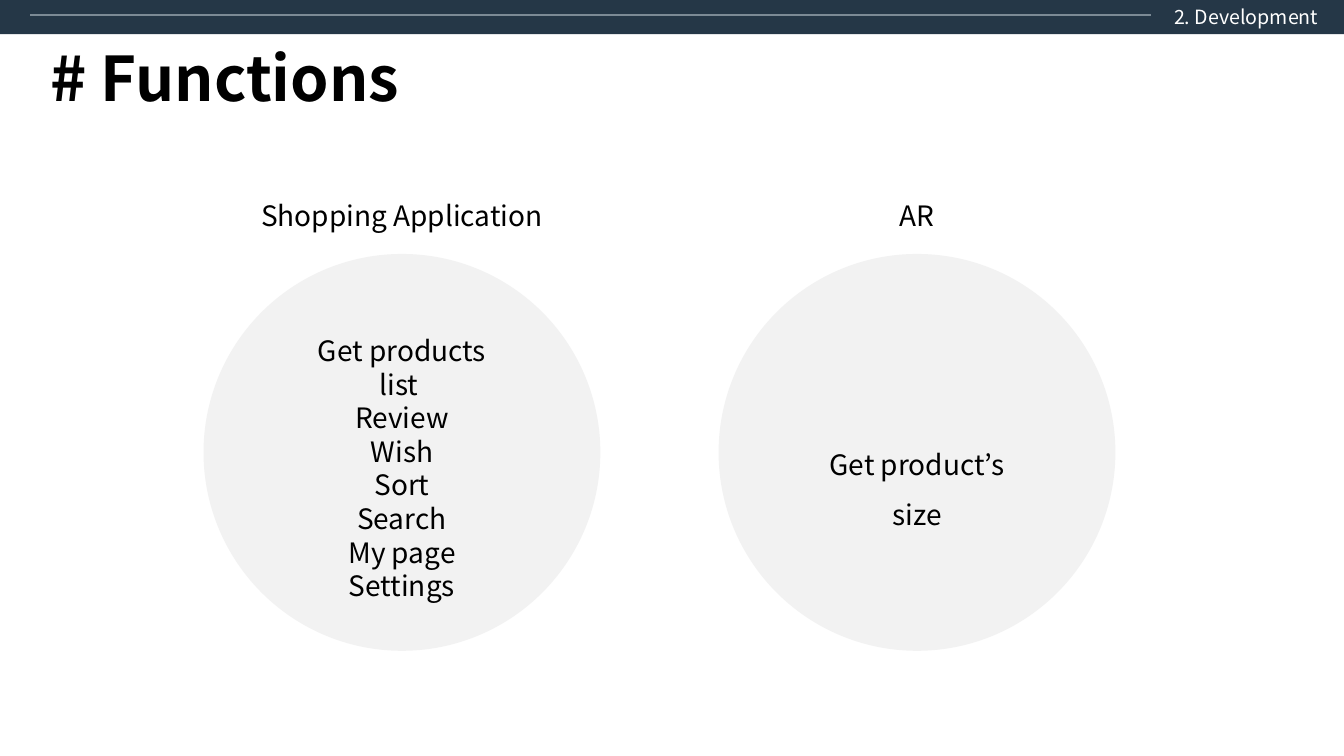
from dataclasses import dataclass

from pptx import Presentation
from pptx.dml.color import RGBColor as RGB
from pptx.enum.shapes import MSO_CONNECTOR as CONN, MSO_SHAPE as SHAPE
from pptx.enum.text import MSO_ANCHOR as ANCHOR, MSO_AUTO_SIZE as AUTO, PP_ALIGN as ALIGN
from pptx.oxml.ns import qn
from pptx.util import Cm, Pt
from lxml import etree


@dataclass(frozen=True)
class Theme:
    font: str = "Noto Sans CJK KR"
    navy: RGB = RGB(0x25, 0x37, 0x47)
    rule: RGB = RGB(0x7C, 0x8A, 0x95)
    disc: RGB = RGB(0xF2, 0xF2, 0xF2)
    black: RGB = RGB(0, 0, 0)
    white: RGB = RGB(0xFF, 0xFF, 0xFF)
    title: int = 44
    body: int = 20
    tag: int = 14


T = Theme()
WIDTH, HEIGHT = 33.87, 19.05


def write(tf, lines, size=T.body, color=T.black, bold=False,
          align=ALIGN.CENTER, spacing=None, anchor=ANCHOR.TOP):
    """Fill a text frame with one paragraph per line."""
    tf.word_wrap = True
    tf.auto_size = AUTO.NONE
    tf.vertical_anchor = anchor
    for i, line in enumerate(lines):
        p = tf.add_paragraph() if i else tf.paragraphs[0]
        p.alignment = align
        if spacing:
            p.line_spacing = spacing
        r = p.add_run()
        r.text = line
        r.font.name, r.font.size, r.font.bold = T.font, Pt(size), bold
        r.font.color.rgb = color


def text_box(s, x, y, w, h, lines, **fmt):
    tb = s.shapes.add_textbox(Cm(x), Cm(y), Cm(w), Cm(h))
    write(tb.text_frame, lines, **fmt)


def plain_shape(s, kind, x, y, w, h, color):
    sp = s.shapes.add_shape(kind, Cm(x), Cm(y), Cm(w), Cm(h))
    sp.shadow.inherit = False
    sp.fill.solid()
    sp.fill.fore_color.rgb = color
    sp.line.fill.background()


def header(s, x, y, w, h, section):
    """Dark band with a thin rule and the section name at its right end."""
    plain_shape(s, SHAPE.RECTANGLE, x, y, w, h, T.navy)
    rule_y = Cm(y + 0.38)
    rule = s.shapes.add_connector(CONN.STRAIGHT, Cm(x + 0.76), rule_y, Cm(x + w - 4.87), rule_y)
    rule.line.color.rgb = T.rule
    rule.line.width = Pt(1)
    etree.SubElement(rule.line._get_or_add_ln().getparent(), qn("a:effectLst"))
    text_box(s, x + w - 6.23, y, 5.84, h, [section],
             size=T.tag, color=T.white, align=ALIGN.RIGHT)


def title(s, x, y, w, h, text):
    ph = s.shapes.title
    ph.left, ph.top, ph.width, ph.height = Cm(x), Cm(y), Cm(w), Cm(h)
    write(ph.text_frame, [text], size=T.title, bold=True,
          align=ALIGN.LEFT, spacing=0.9, anchor=ANCHOR.MIDDLE)


def feature_disc(s, x, y, d, caption, lines, text_top, text_w, spacing=None):
    """Disc with a caption above it and centred lines inside it."""
    cap_w = 7.92
    text_box(s, x + (d - cap_w) / 2, y - 1.52, cap_w, 1.12, [caption])
    plain_shape(s, SHAPE.OVAL, x, y, d, d, T.disc)
    text_box(s, x + (d - text_w) / 2, y + text_top, text_w, d - 2 * text_top,
             lines, spacing=spacing)


def main():
    prs = Presentation()
    prs.slide_width, prs.slide_height = Cm(WIDTH), Cm(HEIGHT)
    s = prs.slides.add_slide(prs.slide_layouts[5])

    # Header band and title
    header(s, 0, 0, WIDTH, 0.86, "2. Development")
    title(s, 1.02, 0.74, 29.2, 2.62, "# Functions")

    # Two groups of functions
    top, d = 6.4, 10
    app = ["Get products list ", "Review", "Wish", "Sort", "Search", "My page", "Settings"]
    feature_disc(s, 5.13, top, d, "Shopping Application", app, 1.88, 5.8)
    feature_disc(s, 18.11, top, d, "AR", ["Get product’s size"], 4.32, 6.1, spacing=1.5)

    prs.save("out.pptx")


if __name__ == "__main__":
    main()
